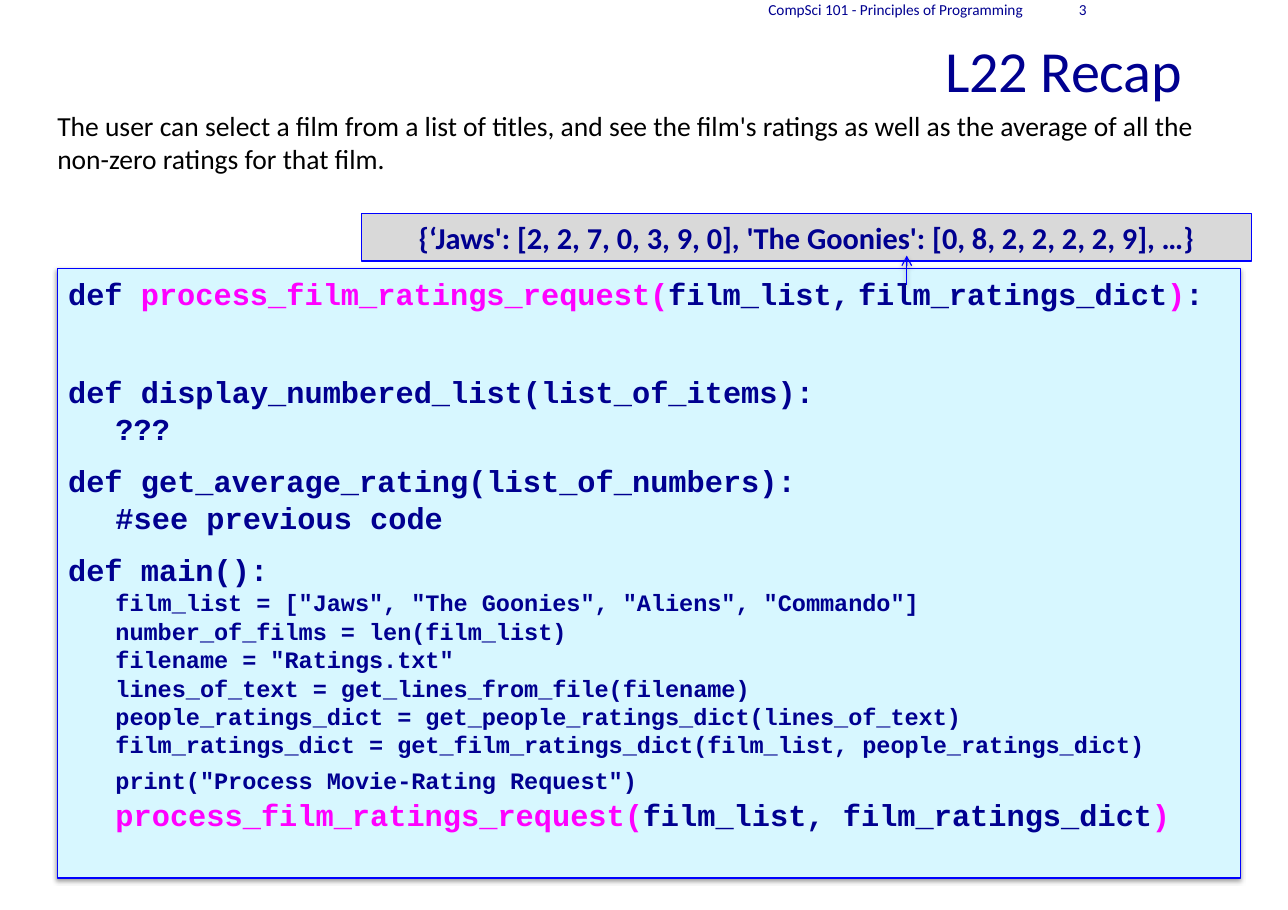
"""Build the L22 Recap slide with its film ratings code."""
from lxml import etree
from pptx import Presentation
from pptx.dml.color import RGBColor
from pptx.enum.shapes import MSO_CONNECTOR as CONN, MSO_SHAPE as SHAPE
from pptx.enum.text import MSO_ANCHOR as ANCHOR, PP_ALIGN as ALIGN
from pptx.oxml import parse_xml
from pptx.oxml.ns import nsdecls, qn
from pptx.util import Inches, Pt

NAVY, PINK, BLUE, BLACK = "000090", "FF00FF", "0000FF", "000000"
SHADOW = (
    f'<a:effectLst {nsdecls("a")}>'
    '<a:outerShdw blurRad="39370" dist="20320" dir="5400000" rotWithShape="0">'
    '<a:srgbClr val="000000"><a:alpha val="38000"/></a:srgbClr>'
    '</a:outerShdw></a:effectLst>'
)


def rgb(value):
    return RGBColor.from_string(value)


def add_run(p, text, size, color=NAVY, font="Calibri", bold=False):
    r = p.add_run()
    r.text = text
    for name, value in {"name": font, "size": Pt(size), "bold": bold}.items():
        setattr(r.font, name, value)
    r.font.color.rgb = rgb(color)
    return r


prs = Presentation()
prs.slide_width, prs.slide_height = Inches(11.69), Inches(8.26)
s = prs.slides.add_slide(prs.slide_layouts[6])

intro = ("The user can select a film from a list of titles, and see the film's "
         "ratings as well as the average of all the non-zero ratings for that film.")
flush = {"margin_left": 0, "margin_right": 0}
labels = [
    ((0.52, 0.99, 10.83, 0.65), intro, 18, BLACK, flush, {}),
    ((6.38, 0, 3, 0.17), "CompSci 101 - Principles of Programming", 10, NAVY,
     {"vertical_anchor": ANCHOR.MIDDLE}, {"alignment": ALIGN.RIGHT}),
    ((9.38, 0, 0.58, 0.17), "3", 10, NAVY,
     {"vertical_anchor": ANCHOR.MIDDLE}, {"alignment": ALIGN.RIGHT}),
    ((7.18, 0.32, 3.65, 0.65), "L22 Recap", 38, NAVY, flush,
     {"line_spacing": Pt(45.2)}),
]
for box, text, size, color, frame, para in labels:
    tf = s.shapes.add_textbox(*map(Inches, box)).text_frame
    for name, value in {"word_wrap": True, "margin_top": 0, "margin_bottom": 0, **frame}.items():
        setattr(tf, name, value)
    p = tf.paragraphs[0]
    for name, value in para.items():
        setattr(p, name, value)
    r = add_run(p, text, size, color)
p._p.get_or_add_pPr().set("marL", str(Inches(1.4)))
p._p.get_or_add_pPr().set("indent", "0")
r._r.get_or_add_rPr().set("spc", "-20")

frames = []
for box, fill, anchor in [
    ((0.52, 2.44, 10.74, 5.53), "D7F7FF", ANCHOR.TOP),
    ((3.28, 1.94, 8.08, 0.43), "D9D9D9", ANCHOR.MIDDLE),
]:
    sp = s.shapes.add_shape(SHAPE.RECTANGLE, *map(Inches, box))
    sp.shadow.inherit = False
    sp.fill.solid()
    sp.fill.fore_color.rgb = rgb(fill)
    sp.line.color.rgb = rgb(BLUE)
    sp.line.width = Pt(0.75)
    sp.text_frame.word_wrap = True
    sp.text_frame.vertical_anchor = anchor
    frames.append((sp, sp.text_frame))
(code_box, code_tf), (_, dict_tf) = frames

effects = code_box._element.spPr.find(qn("a:effectLst"))
effects.getparent().replace(effects, parse_xml(SHADOW))

p = dict_tf.paragraphs[0]
p.alignment = ALIGN.CENTER
add_run(p, "{‘Jaws': [2, 2, 7, 0, 3, 9, 0], 'The Goonies': [0, 8, 2, 2, 2, 2, 9], …}",
        19.8, bold=True)

BIG, SMALL = 19.8, 15.4
LINE_HEIGHT = {BIG: 24.2, SMALL: 18.6}
call = ("process_film_ratings_request(", PINK)
main_lines = [
    'film_list = ["Jaws", "The Goonies", "Aliens", "Commando"]',
    "number_of_films = len(film_list)",
    'filename = "Ratings.txt"',
    "lines_of_text = get_lines_from_file(filename)",
    "people_ratings_dict = get_people_ratings_dict(lines_of_text)",
    "film_ratings_dict = get_film_ratings_dict(film_list, people_ratings_dict)",
]
code = [
    (0, 0, BIG, [("def ", NAVY), call, ("film_list,", NAVY), (" ", NAVY, 8.8),
                 ("film_ratings_dict", NAVY), (")", PINK), (":", NAVY)]),
    (0, 40.2, BIG, [("def display_numbered_list(list_of_items):", NAVY)]),
    (1, 0, BIG, [("???", NAVY)]),
    (0, 9.8, BIG, [("def get_average_rating(list_of_numbers):", NAVY)]),
    (1, 0, BIG, [("#see previous code", NAVY)]),
    (0, 9.8, BIG, [("def main():", NAVY)]),
    *[(1, 0, SMALL, [(line, NAVY)]) for line in main_lines],
    (1, 4.3, SMALL, [('print("Process Movie-Rating Request")', NAVY)]),
    (1, 1, BIG, [call, ("film_list, film_ratings_dict", NAVY), (")", PINK)]),
]
for i, (level, gap, size, parts) in enumerate(code):
    p = code_tf.add_paragraph() if i else code_tf.paragraphs[0]
    p._p.get_or_add_pPr().set("marL", str(Inches(0.43 * level)))
    for name, value in {"alignment": ALIGN.LEFT, "space_before": Pt(gap),
                        "line_spacing": Pt(LINE_HEIGHT[size])}.items():
        setattr(p, name, value)
    for text, color, *own_size in parts:
        add_run(p, text, own_size[0] if own_size else size, color, "Courier New", True)

arrow = s.shapes.add_connector(CONN.STRAIGHT, *map(Inches, (8.23, 2.59, 8.23, 2.32)))
arrow.line.color.rgb = rgb(BLUE)
arrow.line.width = Pt(0.75)
etree.SubElement(arrow.line._get_or_add_ln(), qn("a:tailEnd"), type="arrow")
arrow._element.spPr.append(parse_xml(SHADOW))

prs.save("out.pptx")
